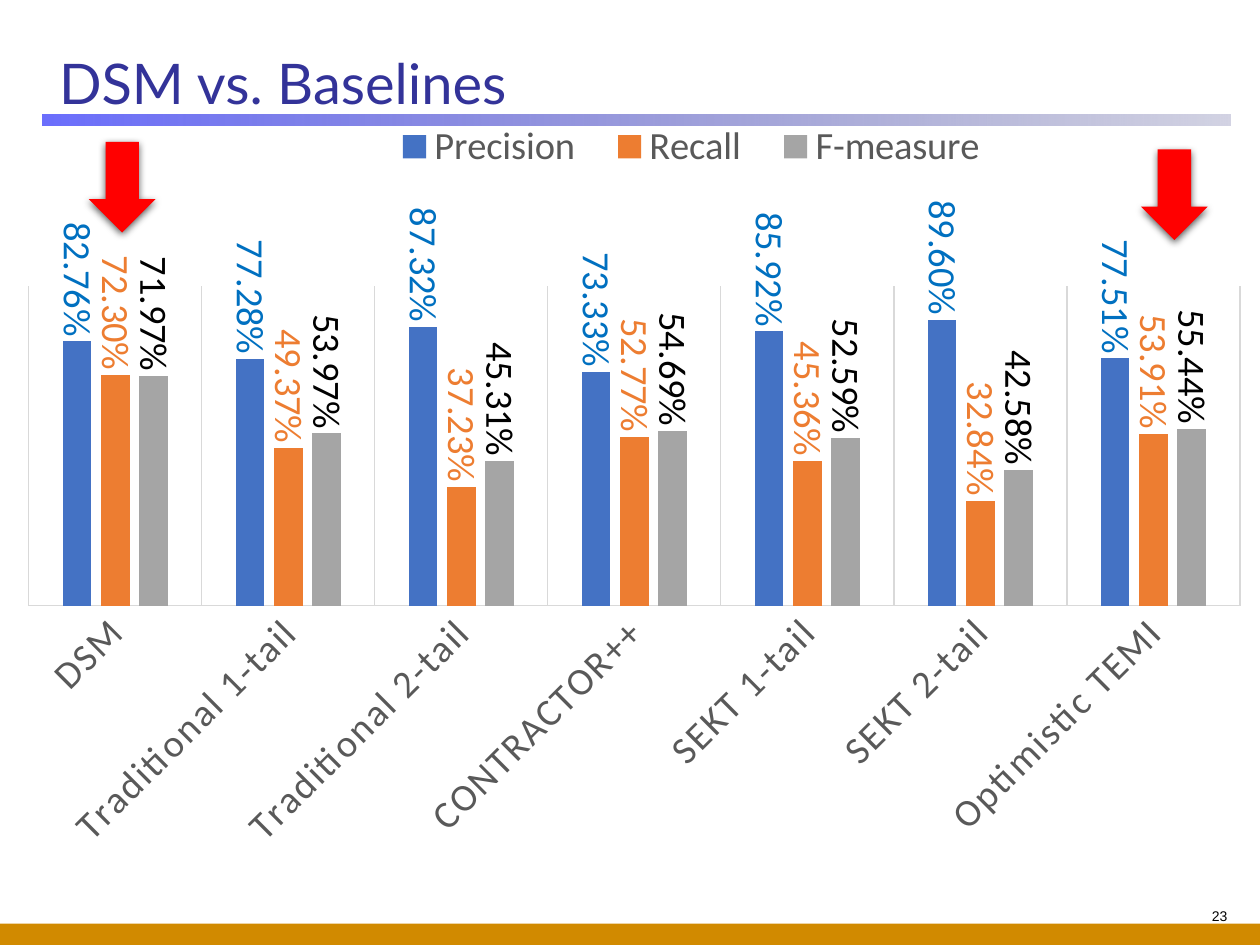
from dataclasses import dataclass

from lxml import etree
from pptx import Presentation
from pptx.chart.data import CategoryChartData
from pptx.dml.color import RGBColor
from pptx.enum.chart import XL_CHART_TYPE, XL_LABEL_POSITION, XL_LEGEND_POSITION, XL_TICK_MARK
from pptx.enum.shapes import MSO_SHAPE
from pptx.enum.text import MSO_ANCHOR, PP_ALIGN
from pptx.oxml import parse_xml
from pptx.oxml.ns import nsdecls, qn
from pptx.util import Inches, Pt

COLORS = {
    "white": "FFFFFF", "black": "000000", "title": "333399", "footer": "D18A00",
    "rule_start": "464AFC", "rule_end": "202275", "arrow": "FF0000",
    "axis_text": "595959", "grid": "D9D9D9",
    "precision": "4472C4", "recall": "ED7D31", "f_measure": "A5A5A5",
    "precision_label": "0070C0",
}
PERCENT = "0.00%"
CATEGORIES = ["DSM", "Traditional 1-tail", "Traditional 2-tail", "CONTRACTOR++",
              "SEKT 1-tail", "SEKT 2-tail", "Optimistic TEMI"]


@dataclass
class Box:
    left: float
    top: float
    width: float
    height: float

    def lengths(self) -> list:
        return [Inches(v) for v in (self.left, self.top, self.width, self.height)]


@dataclass
class Measure:
    name: str
    percents: list
    fill: str
    label: str


@dataclass
class Caption:
    text: str
    box: Box
    size: int
    font: str
    color: str
    align: PP_ALIGN
    anchor: MSO_ANCHOR


MEASURES = [
    Measure("Precision", [82.76, 77.28, 87.32, 73.33, 85.92, 89.60, 77.51],
            "precision", "precision_label"),
    Measure("Recall", [72.30, 49.37, 37.23, 52.77, 45.36, 32.84, 53.91],
            "recall", "recall"),
    Measure("F-measure", [71.97, 53.97, 45.31, 54.69, 52.59, 42.58, 55.44],
            "f_measure", "black"),
]
CAPTIONS = [
    Caption("DSM vs. Baselines", Box(0.37, 0.37, 9.08, 0.56), 32, "Lato", "title",
            PP_ALIGN.LEFT, MSO_ANCHOR.MIDDLE),
    Caption("23", Box(8.42, 7.15, 1.42, 0.33), 8, "Arial", "black",
            PP_ALIGN.RIGHT, MSO_ANCHOR.TOP),
]
ARROWS = [Box(8.96, 1.28, 0.72, 0.53), Box(0.61, 1.22, 0.72, 0.53)]


def rgb(name: str) -> RGBColor:
    return RGBColor.from_string(COLORS[name])


def style_font(font, size: int, color: str, face: str = "Calibri") -> None:
    for attribute, value in {"size": Pt(size), "name": face, "bold": False}.items():
        setattr(font, attribute, value)
    font.color.rgb = rgb(color)


def add_block(slide, box: Box, color: str, kind=MSO_SHAPE.RECTANGLE):
    block = slide.shapes.add_shape(kind, *box.lengths())
    block.shadow.inherit = False
    block.fill.solid()
    block.fill.fore_color.rgb = rgb(color)
    block.line.fill.background()
    return block


def add_title_rule(slide, box: Box) -> None:
    rule = add_block(slide, box, "rule_start")
    rule.fill.gradient()
    rule.fill.gradient_angle = 0
    ends = [(0, "rule_start", 80), (1, "rule_end", 20)]
    for stop, (position, color, _) in zip(rule.fill.gradient_stops, ends):
        stop.position = position
        stop.color.rgb = rgb(color)
    for tint, (_, _, opacity) in zip(rule._element.spPr.iter(qn("a:srgbClr")), ends):
        etree.SubElement(tint, qn("a:alpha"), val=str(opacity * 1000))


def add_arrow(slide, box: Box) -> None:
    arrow = add_block(slide, box, "arrow", MSO_SHAPE.RIGHT_ARROW)
    arrow.rotation = 90
    effects = arrow._element.spPr.find(qn("a:effectLst"))
    shadow = etree.SubElement(effects, qn("a:outerShdw"), blurRad=str(Pt(4.5)),
                              dist=str(Pt(1.5)), dir="5400000", rotWithShape="0")
    tint = etree.SubElement(shadow, qn("a:srgbClr"), val=COLORS["black"])
    etree.SubElement(tint, qn("a:alpha"), val="63000")


def add_caption(slide, caption: Caption) -> None:
    frame = slide.shapes.add_textbox(*caption.box.lengths()).text_frame
    frame.word_wrap = True
    frame.vertical_anchor = caption.anchor
    paragraph = frame.paragraphs[0]
    paragraph.alignment = caption.align
    run = paragraph.add_run()
    run.text = caption.text
    style_font(run.font, caption.size, caption.color, caption.font)


def manual_layout(**values):
    parts = "".join(f'<c:{key} val="{value}"/>' for key, value in values.items())
    return parse_xml(f'<c:layout {nsdecls("c")}><c:manualLayout>{parts}'
                     '</c:manualLayout></c:layout>')


def rotate_text(element, degrees: int) -> None:
    body = element.find(qn("c:txPr")).find(qn("a:bodyPr"))
    body.set("rot", str(degrees * 60000))
    body.set("vert", "horz")


def add_measure_chart(slide, box: Box) -> None:
    data = CategoryChartData(number_format=PERCENT)
    data.categories = CATEGORIES
    for measure in MEASURES:
        data.add_series(measure.name, [round(p / 100, 4) for p in measure.percents])
    chart = slide.shapes.add_chart(XL_CHART_TYPE.COLUMN_CLUSTERED, *box.lengths(), data).chart
    style_font(chart.font, 22, "black")
    chart.has_title = False

    # Legend
    chart.has_legend = True
    chart.legend.position = XL_LEGEND_POSITION.TOP
    chart.legend.include_in_layout = False
    style_font(chart.legend.font, 22, "axis_text")
    legend = chart.legend._element
    for old in legend.findall(qn("c:layout")):
        legend.remove(old)
    legend.find(qn("c:legendPos")).addnext(
        manual_layout(xMode="edge", yMode="edge", x=0.29, y=0, w=0.51, h=0.07))

    # Axes
    values = chart.value_axis
    for attribute, value in {"minimum_scale": 0, "maximum_scale": 1,
                             "has_major_gridlines": False, "visible": False}.items():
        setattr(values, attribute, value)
    values.tick_labels.number_format = PERCENT
    values.tick_labels.number_format_is_linked = False
    names = chart.category_axis
    names.major_tick_mark = names.minor_tick_mark = XL_TICK_MARK.NONE
    names.has_major_gridlines = True
    for line in (names.format.line, names.major_gridlines.format.line):
        line.color.rgb = rgb("grid")
        line.width = Pt(0.75)
    style_font(names.tick_labels.font, 22, "axis_text")
    rotate_text(names._element, -45)
    for letters in names._element.iter(qn("a:defRPr")):
        letters.set("spc", "120")

    # Bars and their upright labels
    plot = chart.plots[0]
    for attribute, value in {"gap_width": 239, "overlap": -34,
                             "vary_by_categories": False}.items():
        setattr(plot, attribute, value)
    for series, measure in zip(plot.series, MEASURES):
        series.format.fill.solid()
        series.format.fill.fore_color.rgb = rgb(measure.fill)
        labels = series.data_labels
        for attribute, value in {"show_value": True, "number_format": PERCENT,
                                 "number_format_is_linked": False,
                                 "position": XL_LABEL_POSITION.OUTSIDE_END}.items():
            setattr(labels, attribute, value)
        style_font(labels.font, 22, measure.label)
        rotate_text(labels._element, 90)

    # Plot area
    area = chart._chartSpace.chart.plotArea
    for old in area.findall(qn("c:layout")):
        area.remove(old)
    area.insert(0, manual_layout(layoutTarget="inner", xMode="edge", yMode="edge",
                                 x=0.015, y=0.2, w=0.969, h=0.377))


def main() -> None:
    deck = Presentation()
    deck.slide_width, deck.slide_height = Inches(10), Inches(7.5)
    slide = deck.slides.add_slide(deck.slide_layouts[6])

    # Background bands
    add_block(slide, Box(0, 7.33, 10, 0.17), "footer")
    add_title_rule(slide, Box(0.34, 0.91, 9.43, 0.09))
    add_block(slide, Box(0.08, 6.74, 1.7, 0.54), "white")

    # Title and page number
    for caption in CAPTIONS:
        add_caption(slide, caption)

    # Chart with the two compared methods pointed out
    add_measure_chart(slide, Box(0.08, 0.93, 9.92, 6.72))
    for arrow in ARROWS:
        add_arrow(slide, arrow)

    deck.save("out.pptx")


if __name__ == "__main__":
    main()
